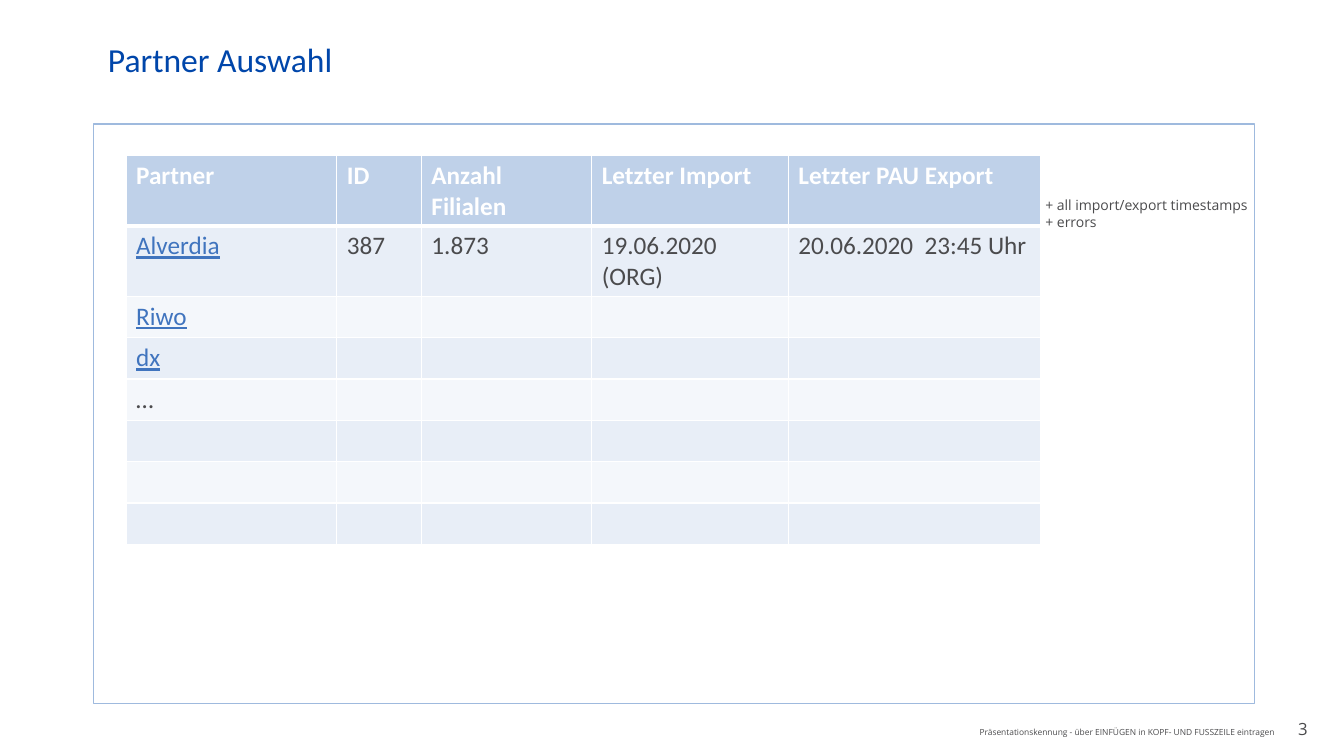
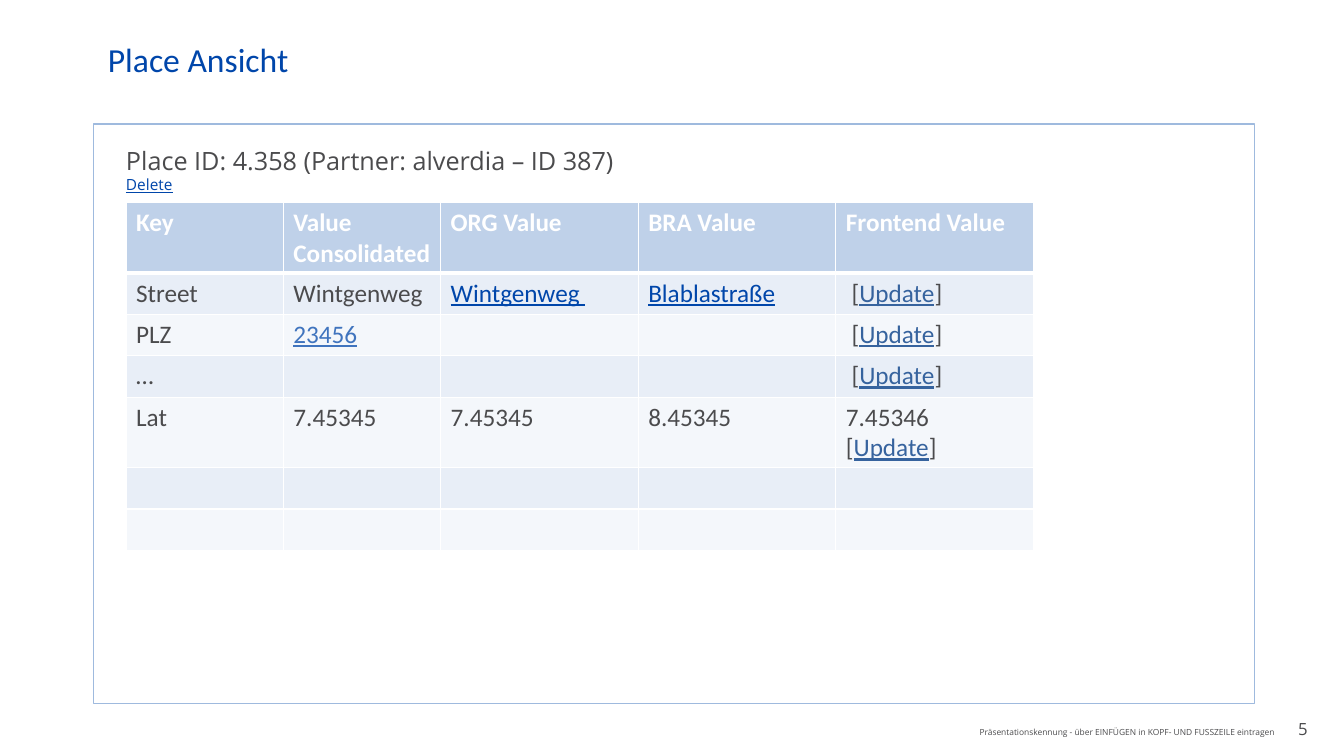
from dataclasses import dataclass
from typing import NamedTuple

from lxml import etree
from pptx import Presentation
from pptx.dml.color import RGBColor
from pptx.enum.shapes import MSO_SHAPE
from pptx.enum.text import MSO_ANCHOR, PP_ALIGN
from pptx.oxml.ns import qn
from pptx.slide import Slide
from pptx.table import _Cell
from pptx.util import Inches, Pt

RECTANGLE = MSO_SHAPE.RECTANGLE
LEFT, RIGHT = PP_ALIGN.LEFT, PP_ALIGN.RIGHT
TOP, MIDDLE = MSO_ANCHOR.TOP, MSO_ANCHOR.MIDDLE

WHITE = RGBColor(0xFF, 0xFF, 0xFF)
BLUE = RGBColor(0x00, 0x46, 0xAA)
TEXT_GRAY = RGBColor(0x4B, 0x4B, 0x4D)
LINK_BLUE = RGBColor(0x40, 0x74, 0xBE)
UPDATE_BLUE = RGBColor(0x36, 0x63, 0x9E)
FRAME_BLUE = RGBColor(0x9F, 0xBA, 0xDE)
HEADER_FILL = RGBColor(0xBF, 0xD1, 0xE9)
BAND_FILLS = (RGBColor(0xE8, 0xEE, 0xF7), RGBColor(0xF4, 0xF7, 0xFB))

HEADING_FONT = "Calibri"
BODY_FONT = "Open Sans"
FOOTER = "Präsentationskennung - über EINFÜGEN in KOPF- UND FUSSZEILE eintragen"
ROW_HEIGHT = 0.41
THIN, THICK = 1, 3


class Box(NamedTuple):
    left: float
    top: float
    width: float
    height: float


class Span(NamedTuple):
    text: str
    color: RGBColor = TEXT_GRAY
    underline: bool = False


class Line(NamedTuple):
    text: str
    size: float
    color: RGBColor = TEXT_GRAY
    font: str = BODY_FONT
    underline: bool = False


CellText = tuple[Span, ...]


@dataclass(frozen=True)
class TableContent:
    left: float
    top: float
    widths: tuple[float, ...]
    header: tuple[str, ...]
    rows: tuple[tuple[CellText, ...], ...]
    row_count: int


@dataclass(frozen=True)
class Page:
    title: str
    number: int
    table: TableContent
    note_box: Box
    note_lines: tuple[Line, ...]
    note_inset: tuple[float, float]


def plain(text: str) -> CellText:
    return (Span(text),)


def link(text: str, color: RGBColor = LINK_BLUE) -> CellText:
    return (Span(text, color, True),)


def update(prefix: str) -> CellText:
    return (Span(prefix + "["), Span("Update", UPDATE_BLUE, True), Span("]"))


EMPTY: CellText = ()

PAGES = (
    Page(
        "Partner Auswahl",
        3,
        TableContent(
            1.25,
            1.54,
            (2.09, 0.84, 1.69, 1.95, 2.5),
            ("Partner", "ID", "Anzahl Filialen", "Letzter Import", "Letzter PAU Export"),
            (
                (
                    link("Alverdia"),
                    plain("387"),
                    plain("1.873"),
                    plain("19.06.2020 (ORG)"),
                    plain("20.06.2020  23:45 Uhr"),
                ),
                (link("Riwo"),),
                (link("dx"),),
                (plain("…"),),
            ),
            8,
        ),
        Box(10.27, 1.9, 2.23, 0.44),
        (Line("+ all import/export timestamps", 10), Line("+ errors", 10)),
        (0.1, 0.05),
    ),
    Page(
        "Place Ansicht",
        5,
        TableContent(
            1.25,
            2.01,
            (1.56, 1.56, 1.96, 1.96, 1.96),
            ("Key", "Value Consolidated", "ORG Value", "BRA Value", "Frontend Value"),
            (
                (
                    plain("Street"),
                    plain("Wintgenweg"),
                    link("Wintgenweg ", BLUE),
                    link("Blablastraße", BLUE),
                    update(" "),
                ),
                (plain("PLZ"), link("23456"), EMPTY, EMPTY, update(" ")),
                (plain("…"), EMPTY, EMPTY, EMPTY, update(" ")),
                (
                    plain("Lat"),
                    plain("7.45345"),
                    plain("7.45345"),
                    plain("8.45345"),
                    update("7.45346 "),
                ),
            ),
            7,
        ),
        Box(1.25, 1.44, 4.93, 0.49),
        (
            Line("Place ID: 4.358 (Partner: alverdia – ID 387)", 18),
            Line("Delete", 11, BLUE, underline=True),
        ),
        (0, 0),
    ),
)


def add_text(
    slide: Slide,
    box: Box,
    lines: tuple[Line, ...],
    alignment: PP_ALIGN = LEFT,
    anchor: MSO_ANCHOR = TOP,
    inset: tuple[float, float] = (0, 0),
    wrap: bool = False,
) -> None:
    frame = slide.shapes.add_textbox(*map(Inches, box)).text_frame
    frame.word_wrap = wrap
    frame.vertical_anchor = anchor
    frame.margin_left = frame.margin_right = Inches(inset[0])
    frame.margin_top = frame.margin_bottom = Inches(inset[1])
    for index, line in enumerate(lines):
        paragraph = frame.add_paragraph() if index else frame.paragraphs[0]
        paragraph.text = line.text
        paragraph.alignment = alignment
        paragraph.font.name = line.font
        paragraph.font.size = Pt(line.size)
        paragraph.font.color.rgb = line.color
        paragraph.font.underline = line.underline


def set_borders(cell: _Cell, top: float, bottom: float) -> None:
    properties = cell._tc.get_or_add_tcPr()
    borders = (("a:lnL", THIN), ("a:lnR", THIN), ("a:lnT", top), ("a:lnB", bottom))
    for index, (tag, width) in enumerate(borders):
        border = etree.Element(qn(tag), w=str(Pt(width)))
        fill = etree.SubElement(border, qn("a:solidFill"))
        etree.SubElement(fill, qn("a:srgbClr"), val=str(WHITE))
        properties.insert(index, border)


def fill_cell(cell: _Cell, spans: CellText, fill: RGBColor, bold: bool) -> None:
    cell.fill.solid()
    cell.fill.fore_color.rgb = fill
    paragraph = cell.text_frame.paragraphs[0]
    paragraph.font.name = HEADING_FONT
    paragraph.font.size = Pt(18)
    paragraph.font.bold = bold
    for span in spans:
        run = paragraph.add_run()
        run.text = span.text
        run.font.color.rgb = span.color
        run.font.underline = span.underline


def add_data_table(slide: Slide, content: TableContent) -> None:
    table = slide.shapes.add_table(
        content.row_count,
        len(content.widths),
        Inches(content.left),
        Inches(content.top),
        Inches(sum(content.widths)),
        Inches(ROW_HEIGHT * content.row_count),
    ).table
    for column, width in zip(table.columns, content.widths):
        column.width = Inches(width)
    header = tuple((Span(text, WHITE),) for text in content.header)
    rows = (header, *content.rows)
    for row_index, row in enumerate(table.rows):
        row.height = Inches(ROW_HEIGHT)
        is_header = row_index == 0
        fill = HEADER_FILL if is_header else BAND_FILLS[(row_index - 1) % 2]
        texts = rows[row_index] if row_index < len(rows) else ()
        for column_index, cell in enumerate(row.cells):
            spans = texts[column_index] if column_index < len(texts) else EMPTY
            fill_cell(cell, spans, fill, is_header)
            set_borders(
                cell,
                top=THICK if row_index == 1 else THIN,
                bottom=THICK if is_header else THIN,
            )


def add_frame(slide: Slide) -> None:
    frame = slide.shapes.add_shape(RECTANGLE, *map(Inches, Box(0.93, 1.23, 11.51, 5.75)))
    frame.shadow.inherit = False
    frame.fill.solid()
    frame.fill.fore_color.rgb = WHITE
    frame.line.color.rgb = FRAME_BLUE
    frame.line.width = Pt(1)


def add_page(presentation: Presentation, page: Page) -> None:
    slide = presentation.slides.add_slide(presentation.slide_layouts[6])
    add_frame(slide)
    title = Line(page.title, 24, BLUE, HEADING_FONT)
    add_text(slide, Box(1.07, 0.39, 8.39, 0.4), (title,), wrap=True)
    add_text(slide, Box(9.69, 7.21, 2.95, 0.1), (Line(FOOTER, 6),), RIGHT, MIDDLE)
    number = Line(str(page.number), 12)
    add_text(slide, Box(12.63, 7.13, 0.34, 0.2), (number,), RIGHT, MIDDLE)
    add_data_table(slide, page.table)
    add_text(slide, page.note_box, page.note_lines, inset=page.note_inset)


def main() -> None:
    presentation = Presentation()
    presentation.slide_width = Inches(13.33)
    presentation.slide_height = Inches(7.5)
    for page in PAGES:
        add_page(presentation, page)
    presentation.save("out.pptx")


if __name__ == "__main__":
    main()
